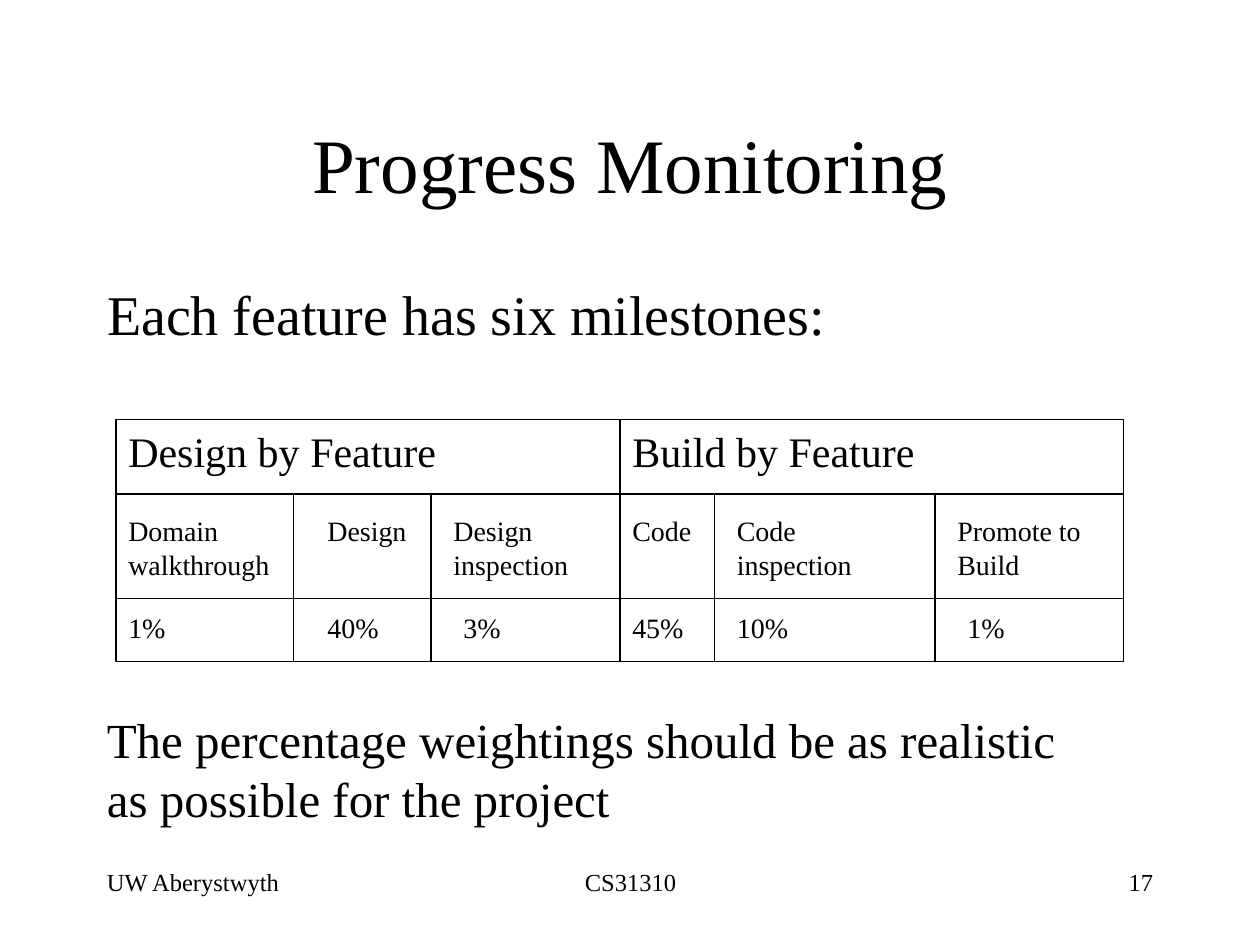
from dataclasses import dataclass

from lxml import etree
from pptx import Presentation
from pptx.dml.color import RGBColor
from pptx.enum.shapes import MSO_CONNECTOR, MSO_SHAPE
from pptx.enum.text import MSO_ANCHOR, MSO_AUTO_SIZE, PP_ALIGN
from pptx.oxml.ns import qn
from pptx.util import Inches, Pt

LEFT, CENTER, RIGHT = PP_ALIGN.LEFT, PP_ALIGN.CENTER, PP_ALIGN.RIGHT
TOP, MIDDLE = MSO_ANCHOR.TOP, MSO_ANCHOR.MIDDLE
NO_FIT, GROW = MSO_AUTO_SIZE.NONE, MSO_AUTO_SIZE.SHAPE_TO_FIT_TEXT
RECTANGLE, STRAIGHT = MSO_SHAPE.RECTANGLE, MSO_CONNECTOR.STRAIGHT


@dataclass(frozen=True)
class Theme:
    font: str = "Times New Roman"
    ink: RGBColor = RGBColor(0x00, 0x00, 0x00)
    paper: RGBColor = RGBColor(0xFF, 0xFF, 0xFF)
    title: int = 44
    lead: int = 32
    closing: int = 28
    phase: int = 24
    milestone: int = 16
    footer: int = 14
    rule: float = 0.75


@dataclass(frozen=True)
class Milestone:
    name: str
    name_left: float
    name_width: float
    name_height: float
    share: str
    share_left: float
    share_width: float


@dataclass(frozen=True)
class Phase:
    heading: str
    dividers: tuple
    milestones: tuple


THEME = Theme()
ONE_LINE, TWO_LINES = 0.37, 0.64
PHASES = (
    Phase("Design by Feature", (1.41, 2.5), (
        Milestone("Domain walkthrough", 0, 1.5, TWO_LINES, "1%", 0, 1.5),
        Milestone("Design", 1.58, 0.92, ONE_LINE, "40%", 1.58, 1),
        Milestone("Design inspection", 2.58, 1.42, TWO_LINES,
                  "3%", 2.66, 1.33),
    )),
    Phase("Build by Feature", (0.75, 2.5), (
        Milestone("Code", 0, 0.83, ONE_LINE, "45%", 0, 1.5),
        Milestone("Code inspection", 0.83, 1.58, TWO_LINES, "10%", 0.83, 1),
        Milestone("Promote to Build", 2.58, 1.42, TWO_LINES,
                  "1%", 2.66, 1.33),
    )),
)
ROW_RULES = (0.59, 1.42)
NAME_TOP, SHARE_TOP = 0.7, 1.47
FOOTERS = (
    ("UW Aberystwyth", 0.75, 2.08, LEFT),
    ("CS31310", 3.42, 3.17, CENTER),
    ("17", 7.17, 2.08, RIGHT),
)


def write_text(frame, text, size, align=LEFT, anchor=TOP, fit=NO_FIT):
    frame.word_wrap = True
    frame.auto_size = fit
    frame.vertical_anchor = anchor
    para = frame.paragraphs[0]
    para.alignment = align
    para.space_before = Pt(0)
    span = para.add_run()
    span.text = text
    span.font.name = THEME.font
    span.font.size = Pt(size)
    span.font.color.rgb = THEME.ink
    return para


def place(shape, box):
    shape.left, shape.top, shape.width, shape.height = map(Inches, box)


def add_text(page, box, text, **text_format):
    shape = page.shapes.add_textbox(*map(Inches, box))
    write_text(shape.text_frame, text, **text_format)


def fill_title(page, box):
    shape = page.shapes.title
    place(shape, box)
    write_text(shape.text_frame, "Progress Monitoring", THEME.title,
               align=CENTER, anchor=MIDDLE)


def fill_lead(page, box):
    shape = page.placeholders[1]
    place(shape, box)
    para = write_text(shape.text_frame, "Each feature has six milestones:",
                      THEME.lead)
    properties = para._p.get_or_add_pPr()
    properties.set("marL", str(Inches(0.38)))
    properties.set("indent", str(-Inches(0.38)))
    etree.SubElement(properties, qn("a:buNone"))


def style_line(line):
    line.color.rgb = THEME.ink
    line.width = Pt(THEME.rule)


def add_rule(page, *ends):
    rule = page.shapes.add_connector(STRAIGHT, *map(Inches, ends))
    style_line(rule.line)
    etree.SubElement(rule._element.spPr, qn("a:effectLst"))


def add_phase(page, box, phase):
    left, top, width, height = box
    frame = page.shapes.add_shape(RECTANGLE, *map(Inches, box))
    frame.shadow.inherit = False
    frame.fill.background()
    style_line(frame.line)

    add_text(page, (left, top, width, 0.5), phase.heading,
             size=THEME.phase, fit=GROW)
    for item in phase.milestones:
        add_text(page, (left + item.name_left, top + NAME_TOP,
                        item.name_width, item.name_height),
                 item.name, size=THEME.milestone, fit=GROW)
        add_text(page, (left + item.share_left, top + SHARE_TOP,
                        item.share_width, ONE_LINE),
                 item.share, size=THEME.milestone, fit=GROW)

    for offset in ROW_RULES:
        add_rule(page, left, top + offset, left + width, top + offset)
    for offset in phase.dividers:
        add_rule(page, left + offset, top + ROW_RULES[0],
                 left + offset, top + height)


def add_phases(page, box):
    left, top, width, height = box
    phase_width = width / len(PHASES)
    for index, phase in enumerate(PHASES):
        add_phase(page, (left + index * phase_width, top,
                         phase_width, height), phase)


def add_footers(page, top, height):
    for text, left, width, align in FOOTERS:
        add_text(page, (left, top, width, height), text,
                 size=THEME.footer, align=align)


def main():
    deck = Presentation()
    deck.slide_width, deck.slide_height = Inches(10), Inches(7.5)
    page = deck.slides.add_slide(deck.slide_layouts[1])
    page.background.fill.solid()
    page.background.fill.fore_color.rgb = THEME.paper
    add_footers(page, 6.83, 0.5)
    fill_title(page, (0.75, 0.67, 8.5, 1.25))
    fill_lead(page, (0.75, 2.17, 8.5, 4.5))
    add_phases(page, (0.92, 3.33, 8, 1.92))
    add_text(page, (0.75, 5.58, 8.08, 1.04),
             "The percentage weightings should be as realistic "
             "as possible for the project", size=THEME.closing, fit=GROW)
    deck.save("out.pptx")


if __name__ == "__main__":
    main()
